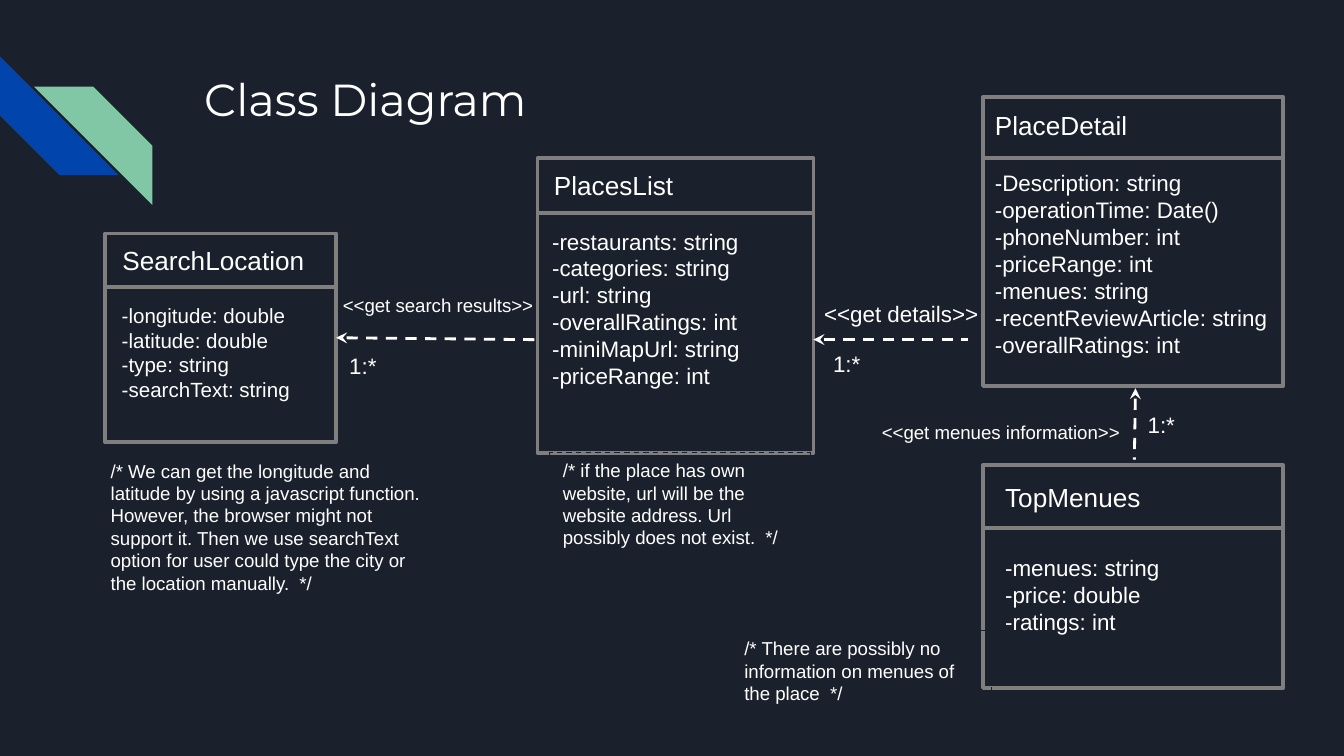
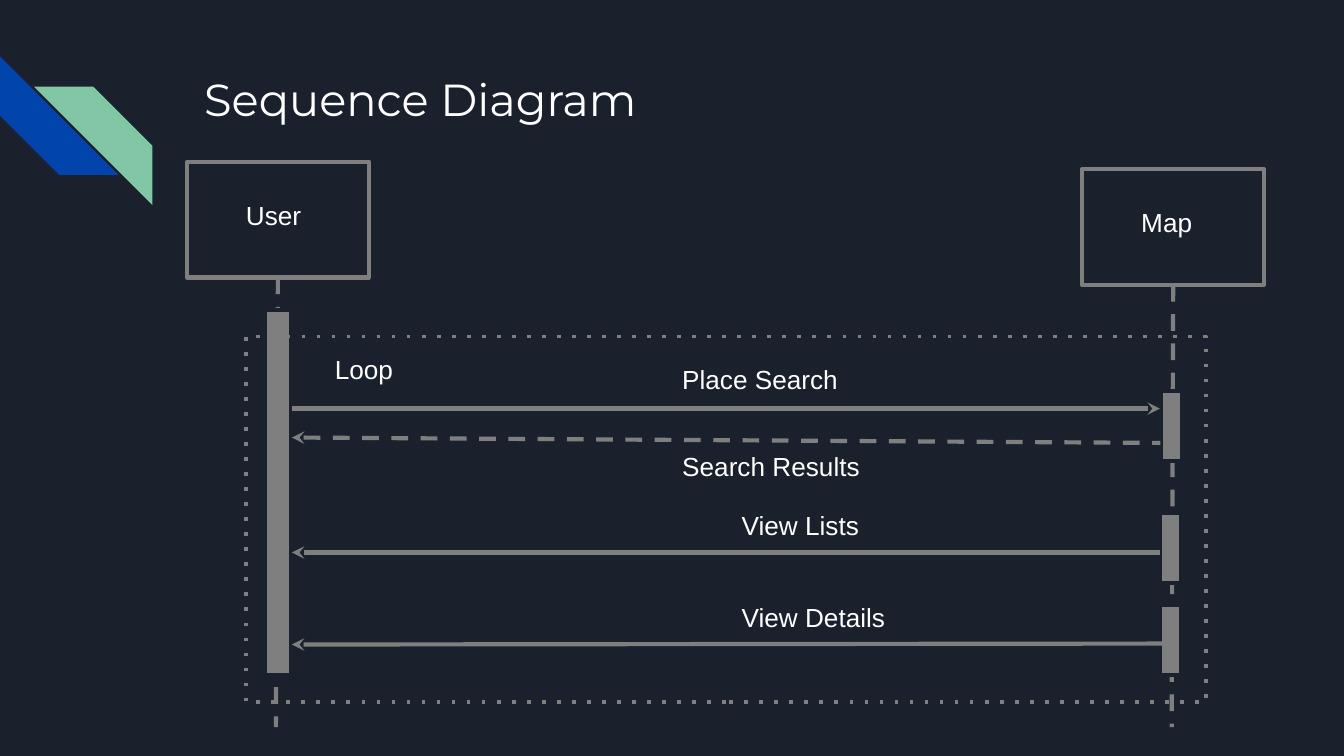
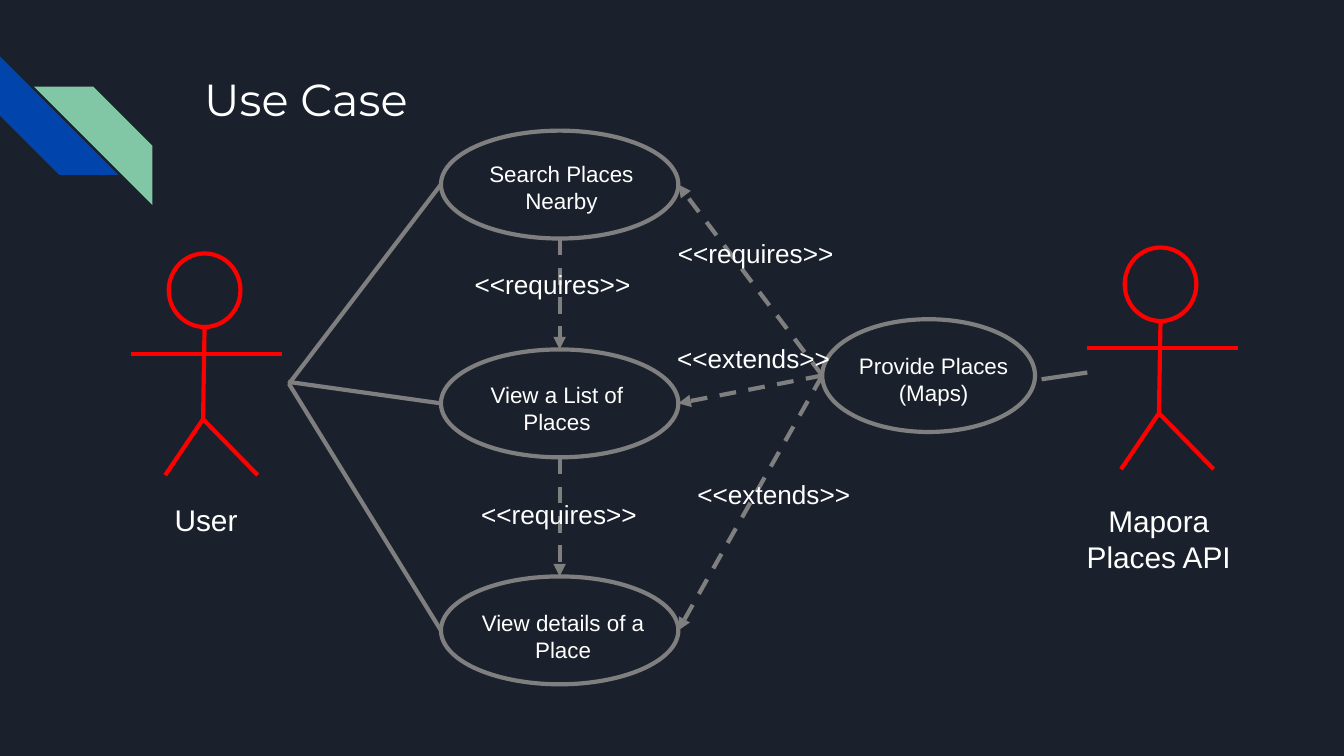
"""Build three UML slides: class, sequence and use case diagrams."""
from copy import deepcopy
from dataclasses import dataclass
from typing import Optional

from lxml.etree import SubElement
from pptx import Presentation
from pptx.dml.color import RGBColor
from pptx.enum.shapes import MSO_CONNECTOR, MSO_SHAPE
from pptx.enum.text import MSO_ANCHOR, MSO_AUTO_SIZE as AutoSize, PP_ALIGN as Align
from pptx.oxml.ns import qn
from pptx.shapes.autoshape import Shape
from pptx.shapes.connector import Connector
from pptx.slide import Slide, SlideLayout
from pptx.text.text import TextFrame
from pptx.util import Pt

Point = tuple[float, float]


@dataclass(frozen=True)
class Theme:
    """Colours, fonts, type sizes and line widths."""
    background: str = "1B212C"
    text: str = "FFFFFF"
    grey: str = "7F7F7F"
    blue: str = "0145AC"
    green: str = "82C7A5"
    red: str = "FF0000"
    title_font: str = "Montserrat"
    body_font: str = "Arial"
    title: float = 24
    actor: float = 16
    heading: float = 14
    body: float = 12
    compact: float = 11
    note: float = 10
    thin: float = 0.75
    arrow: float = 1.5
    frame: float = 2
    heavy: float = 2.25


THEME = Theme()


@dataclass(frozen=True)
class Label:
    """A line or block of text with its place and width."""
    text: str
    left: float
    top: float
    width: float
    size: float = THEME.heading
    align: Align = Align.LEFT


@dataclass(frozen=True)
class ClassBox:
    """A class with a name part and a member part."""
    left: float
    top: float
    width: float
    height: float
    divider: float
    name: Label
    members: Label


@dataclass(frozen=True)
class Note:
    """A comment in a dashed frame."""
    text: str
    left: float
    top: float
    width: float
    height: float


@dataclass(frozen=True)
class Arrow:
    """A line between two points with its dash and arrowheads."""
    start: Point
    end: Point
    dash: Optional[str] = None
    head: Optional[str] = None
    tail: Optional[str] = None


@dataclass(frozen=True)
class UseCase:
    """An oval with a centred caption."""
    left: float
    top: float
    width: float
    height: float
    caption: Label

    @property
    def middle(self) -> Point:
        """Return the centre of the oval."""
        return self.left + self.width / 2, self.top + self.height / 2

    @property
    def left_side(self) -> Point:
        """Return the leftmost point."""
        return self.left, self.middle[1]

    @property
    def right_side(self) -> Point:
        """Return the rightmost point."""
        return self.left + self.width, self.middle[1]


def write(frame: TextFrame, text: str, *, size: float, font: str = THEME.body_font,
          colour: str = THEME.text, align: Align = Align.LEFT, wrap: bool = True) -> None:
    """Fill a text frame with formatted text."""
    frame.text = text
    frame.word_wrap = wrap
    frame.vertical_anchor = MSO_ANCHOR.TOP
    for paragraph in frame.paragraphs:
        paragraph.alignment = align
        for run in paragraph.runs:
            run.font.size = Pt(size)
            run.font.name = font
            run.font.color.rgb = RGBColor.from_string(colour)
        for line_break in paragraph._p.findall(qn("a:br")):
            line_break.append(deepcopy(paragraph.runs[0]._r.rPr))


def stroke(shape: Shape | Connector, colour: str, width: float, *, dash: Optional[str] = None,
           head: Optional[str] = None, tail: Optional[str] = None) -> None:
    """Set the colour, width, dash and arrowheads of a line."""
    shape.line.color.rgb = RGBColor.from_string(colour)
    shape.line.width = Pt(width)
    line = shape.element.spPr.find(qn("a:ln"))
    for tag, attribute, value in (("a:prstDash", "val", dash), ("a:headEnd", "type", head),
                                  ("a:tailEnd", "type", tail)):
        if value:
            SubElement(line, qn(tag)).set(attribute, value)


def add_shape(slide: Slide, kind: MSO_SHAPE, left: float, top: float, width: float,
              height: float, *, fill: Optional[str] = None, line: Optional[str] = None,
              line_width: float = THEME.frame, dash: Optional[str] = None) -> Shape:
    """Add a preset shape without shadow."""
    shape = slide.shapes.add_shape(kind, Pt(left), Pt(top), Pt(width), Pt(height))
    shape.shadow.inherit = False
    if fill:
        shape.fill.solid()
        shape.fill.fore_color.rgb = RGBColor.from_string(fill)
    else:
        shape.fill.background()
    if line:
        stroke(shape, line, line_width, dash=dash)
    else:
        shape.line.fill.background()
    return shape


def add_line(slide: Slide, arrow: Arrow, *, colour: str = THEME.grey,
             width: float = THEME.heavy) -> Connector:
    """Add a straight connector without shadow."""
    ends = [Pt(value) for value in (*arrow.start, *arrow.end)]
    connector = slide.shapes.add_connector(MSO_CONNECTOR.STRAIGHT, *ends)
    stroke(connector, colour, width, dash=arrow.dash, head=arrow.head, tail=arrow.tail)
    SubElement(connector.element.spPr, qn("a:effectLst"))
    return connector


def add_label(slide: Slide, label: Label) -> None:
    """Add a text box as high as its lines."""
    centred = label.align == Align.CENTER
    lines = len(label.text.splitlines())
    height = lines * label.size * 1.2 + 7.2
    box = slide.shapes.add_textbox(Pt(label.left), Pt(label.top), Pt(label.width), Pt(height))
    write(box.text_frame, label.text, size=label.size, align=label.align, wrap=centred)
    box.text_frame.auto_size = AutoSize.SHAPE_TO_FIT_TEXT


def add_note(slide: Slide, note: Note) -> None:
    """Add a comment in a dashed frame."""
    shape = add_shape(slide, MSO_SHAPE.RECTANGLE, note.left, note.top, note.width, note.height,
                      line=THEME.background, line_width=THEME.thin, dash="dash")
    write(shape.text_frame, note.text, size=THEME.note)
    shape.text_frame.auto_size = AutoSize.SHAPE_TO_FIT_TEXT


def add_class(slide: Slide, box: ClassBox) -> Shape:
    """Add a class box and return its frame."""
    frame = add_shape(slide, MSO_SHAPE.RECTANGLE, box.left, box.top, box.width, box.height,
                      line=THEME.grey)
    add_line(slide, Arrow((box.left, box.divider), (box.left + box.width, box.divider)))
    add_label(slide, box.name)
    add_label(slide, box.members)
    return frame


def add_use_case(slide: Slide, case: UseCase) -> None:
    """Add a captioned oval."""
    add_shape(slide, MSO_SHAPE.OVAL, case.left, case.top, case.width, case.height,
              line=THEME.grey, line_width=THEME.heavy)
    add_label(slide, case.caption)


def add_actor(slide: Slide, x: float, top: float) -> None:
    """Add a stick figure whose head is centred on x."""
    add_shape(slide, MSO_SHAPE.OVAL, x - 19.2, top, 38.4, 39.4,
              line=THEME.red, line_width=THEME.heavy)
    hip = (x - 0.8, top + 88.8)
    for start, end in (((x - 39.4, top + 53.7), (x + 41.5, top + 53.7)),
                       ((x, top + 39.4), hip),
                       (hip, (x + 28.5, top + 118.8)),
                       (hip, (x - 21.1, top + 118.8))):
        add_line(slide, Arrow(start, end), colour=THEME.red)


def add_slide(presentation: Presentation, layout: SlideLayout, title: str) -> Slide:
    """Add a slide and place its title."""
    slide = presentation.slides.add_slide(layout)
    shape = slide.shapes.title
    shape.left, shape.top, shape.width, shape.height = Pt(102.2), Pt(31), Pt(554.4), Pt(72)
    frame = shape.text_frame
    write(frame, title, size=THEME.title, font=THEME.title_font)
    frame.auto_size = AutoSize.NONE
    frame.margin_left = frame.margin_right = frame.margin_top = frame.margin_bottom = Pt(7.2)
    return slide


def decorate(layout: SlideLayout, slide: Slide) -> None:
    """Put the two corner stripes on the layout and drop its footers."""
    for placeholder in list(layout.placeholders)[1:]:
        layout.shapes.element.remove(placeholder.element)
    for index, (left, top, rotation, colour) in enumerate(((0, 30.2, 270, THEME.blue),
                                                           (18.2, 46.4, 90, THEME.green))):
        stripe = add_shape(slide, MSO_SHAPE.DIAGONAL_STRIPE, left, top, 63.5, 63.5, fill=colour)
        stripe.rotation = rotation
        layout.shapes.element.insert(2 + index, stripe.element)


def fill_class_diagram(slide: Slide) -> None:
    """Draw the classes, their relations and the comments."""
    add_note(slide, Note(
        "/* We can get the longitude and latitude by using a javascript function. However, "
        "the browser might not support it. Then we use searchText option for user could type "
        "the city or the location manually.  */", 52.2, 242.6, 185, 79.9))
    boxes = (
        ClassBox(56.2, 125.1, 123.9, 111.7, 153.7,
                 Label("SearchLocation", 58.5, 127.4, 112.3),
                 Label("-longitude: double\n-latitude: double\v-type: string\n"
                       "-searchText: string", 58.1, 158.8, 106.6, THEME.compact)),
        ClassBox(288, 84.7, 147.8, 158, 114.2,
                 Label("PlacesList", 289.7, 87.1, 79.2),
                 Label("-restaurants: string\v-categories: string\n-url: string\n"
                       "-overallRatings: int\n-miniMapUrl: string\n-priceRange: int",
                       288.7, 118.5, 118.1, THEME.body)),
        ClassBox(526.6, 51.9, 160.8, 154.9, 84.7,
                 Label("PlaceDetail", 525.9, 55, 85.7),
                 Label("-Description: string\n-operationTime: Date()\v-phoneNumber: int\n"
                       "-priceRange: int\n-menues: string\n-recentReviewArticle: string\n"
                       "-overallRatings: int", 525.9, 87.3, 161.3, THEME.body)),
        ClassBox(526.6, 249.1, 160.8, 119.5, 282.7,
                 Label("TopMenues", 531.4, 254.2, 88.6),
                 Label("-menues: string\n-price: double\n-ratings: int",
                       531.4, 293.5, 97.9, THEME.body)),
    )
    search_frame, *_ = [add_class(slide, box) for box in boxes]
    relations = [
        add_line(slide, Arrow(start, end, "dash", head="stealth"),
                 colour=THEME.text, width=THEME.arrow)
        for start, end in (((180, 181), (288, 182)),
                           ((435.8, 181.9), (518.6, 181.9)),
                           ((608.3, 208), (607.7, 246.2)))
    ]
    relations[0].begin_connect(search_frame, 3)
    for left, top in ((180, 185), (439.2, 184.3), (607.7, 216.7)):
        add_label(slide, Label("1:*", left, top, 30.2, THEME.body))
    for label in (Label("<<get search results>>", 176.6, 153.7, 117.4, THEME.note),
                  Label("<<get details>>", 434.4, 157, 97.9, THEME.body),
                  Label("<<get menues information>>", 465.3, 221.8, 143.3, THEME.note)):
        add_label(slide, label)
    add_note(slide, Note("/* There are possibly no information on menues of the place  */",
                         391.7, 337.7, 139.7, 43.9))
    add_note(slide, Note("/* if the place has own website, url will be the website address. "
                         "Url possibly does not exist.  */", 294.5, 242.4, 139.7, 55.4))


def fill_sequence_diagram(slide: Slide) -> None:
    """Draw the lifelines, activations, messages and loop."""
    for name, left, top, width, foot in (("User", 100.2, 86.7, 44.6, 147.8),
                                         ("Map", 579.8, 90.6, 41.8, 627.7)):
        box = add_shape(slide, MSO_SHAPE.RECTANGLE, left, top, 97.4, 62,
                        line=THEME.grey, line_width=THEME.heavy)
        add_label(slide, Label(name, left + 24.5, top + 16.4, width))
        lifeline = add_line(slide, Arrow((left + 48.7, top + 62), (foot, 389.5), "dash"))
        lifeline.begin_connect(box, 2)
    for left, top, width, height in ((142, 166.2, 13.8, 195.6), (622, 209.5, 11.3, 37.4),
                                     (621.5, 275, 11.3, 37.4), (621.5, 324.2, 11.3, 37.4)):
        add_shape(slide, MSO_SHAPE.RECTANGLE, left, top, width, height,
                  fill=THEME.grey, line=THEME.background)
    for message in (Arrow((156.4, 218.9), (621.4, 218.9), tail="stealth"),
                    Arrow((156.4, 234.4), (621.6, 237.3), "dash", head="stealth"),
                    Arrow((156.4, 296), (621.4, 296), head="stealth"),
                    Arrow((156.4, 345.3), (627.2, 344.8), head="stealth")):
        add_line(slide, message)
    add_shape(slide, MSO_SHAPE.RECTANGLE, 131.6, 180.3, 514.6, 195.8,
              line=THEME.grey, dash="dot")
    for label in (Label("Place Search", 358.4, 191.1, 98.6),
                  Label("Search Results", 358.4, 237.6, 110.2),
                  Label("View Lists", 390.2, 269.3, 78.5),
                  Label("View Details", 390.2, 318.5, 92.2),
                  Label("Loop", 172.3, 185.8, 46.1)):
        add_label(slide, label)


def fill_use_case(slide: Slide) -> None:
    """Draw the actors, use cases and their links."""
    user_cases = [
        UseCase(236.2, top, 127.2, 57.8,
                Label(text, left, text_top, 115.2, THEME.body, Align.CENTER))
        for text, top, left, text_top in (("Search Places Nearby", 70, 243.2, 82.1),
                                          ("View a List of Places", 187.2, 240.8, 200.9),
                                          ("View details of a Place", 308.8, 244.1, 323))
    ]
    provider = UseCase(440.5, 171, 114, 60.4,
                       Label("Provide Places\v(Maps)", 442.6, 185, 115.2,
                             THEME.body, Align.CENTER))
    for case in (*user_cases, provider):
        add_use_case(slide, case)
    for upper, lower in zip(user_cases, user_cases[1:]):
        x = upper.middle[0]
        add_line(slide, Arrow((x, upper.top + upper.height), (x, lower.top),
                              "dash", tail="triangle"))
    for case, start in zip(user_cases, ((154.8, 205.6), (154.4, 204.6), (154.8, 205.6))):
        add_line(slide, Arrow(provider.left_side, case.right_side, "dash", tail="triangle"))
        add_line(slide, Arrow(start, case.left_side))
    add_line(slide, Arrow((558, 203.2), (582.5, 199.6)))
    for text, left, top in (("<<requires>>", 250.6, 263.5), ("<<requires>>", 247.2, 140.4),
                            ("<<requires>>", 356, 123.8), ("<<extends>>", 366.5, 252.7),
                            ("<<extends>>", 355.7, 180)):
        add_label(slide, Label(text, left, top, 98.4))
    for name, x, top, left, name_top in (("User", 109.6, 135.8, 52.8, 265),
                                         ("Mapora Places API", 621.7, 132.6, 563.2, 265.7)):
        add_actor(slide, x, top)
        add_label(slide, Label(name, left, name_top, 115.2, THEME.actor, Align.CENTER))


def main() -> None:
    """Build and save the presentation."""
    presentation = Presentation()
    presentation.slide_width, presentation.slide_height = Pt(720), Pt(405)
    background = presentation.slide_master.background.fill
    background.solid()
    background.fore_color.rgb = RGBColor.from_string(THEME.background)
    layout = presentation.slide_layouts[5]
    class_slide, sequence_slide, use_case_slide = [
        add_slide(presentation, layout, title)
        for title in ("Class Diagram", "Sequence Diagram", "Use Case")
    ]
    decorate(layout, class_slide)
    fill_class_diagram(class_slide)
    fill_sequence_diagram(sequence_slide)
    fill_use_case(use_case_slide)
    presentation.save("out.pptx")


if __name__ == "__main__":
    main()
